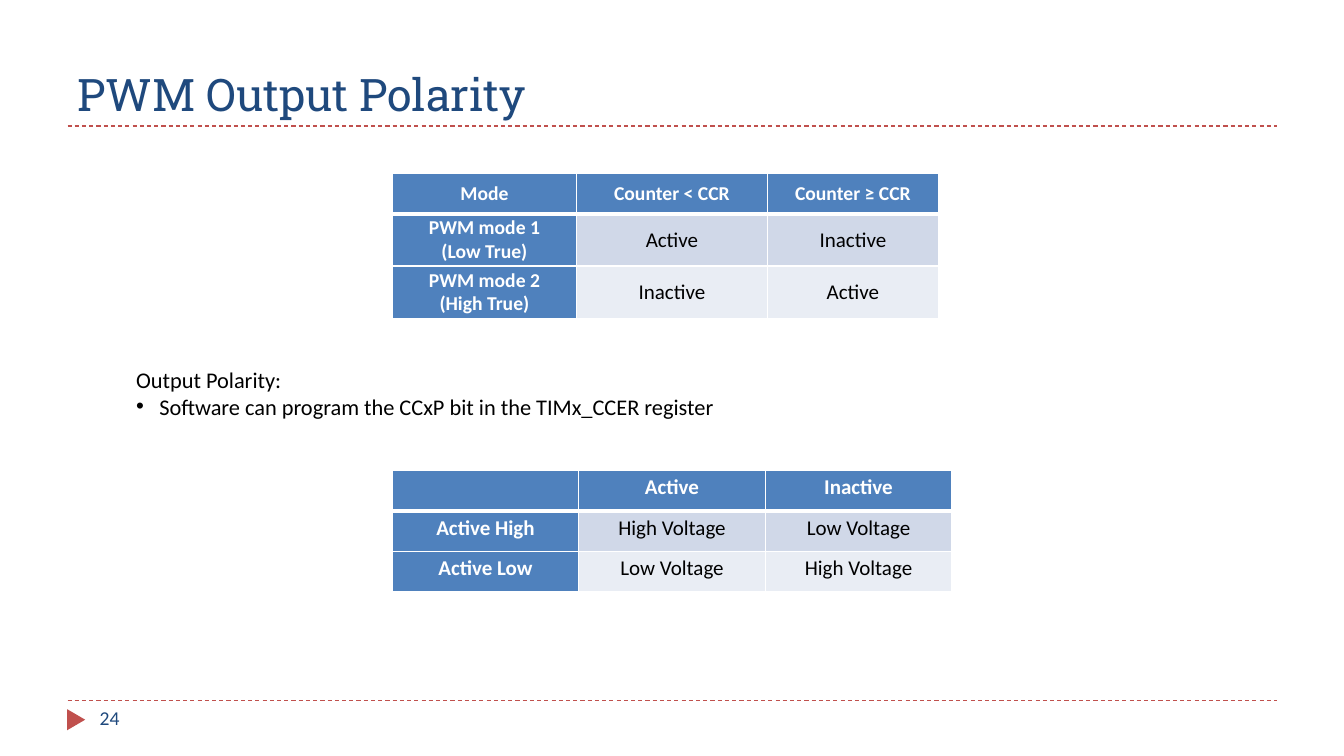
from lxml.etree import SubElement
from pptx import Presentation
from pptx.dml.color import RGBColor
from pptx.enum.dml import MSO_LINE
from pptx.enum.shapes import MSO_CONNECTOR, MSO_SHAPE
from pptx.enum.text import MSO_ANCHOR, MSO_AUTO_SIZE, PP_ALIGN
from pptx.oxml.ns import qn
from pptx.util import Inches, Pt

# Content
TITLE = "PWM Output Polarity"
PAGE_NUMBER = "24"
POLARITY_NOTE = [
    ("Output Polarity:", False),
    ("Software can program the CCxP bit in the TIMx_CCER register", True),
]
PWM_MODES = [
    ["Mode", "Counter < CCR", "Counter ≥ CCR"],
    ["PWM mode 1\n(Low True)", "Active", "Inactive"],
    ["PWM mode 2\n(High True)", "Inactive", "Active"],
]
POLARITY_LEVELS = [
    ["", "Active", "Inactive"],
    ["Active High", "High Voltage", "Low Voltage"],
    ["Active Low", "Low Voltage", "High Voltage"],
]
COLORS = {
    "navy": "1F497D", "red": "C0504D", "header": "4F81BD", "black": "000000",
    "white": "FFFFFF", "odd_band": "D0D8E8", "even_band": "E9EDF4",
}
LEFT, RIGHT = 0.67, 12.67
TABLE_LEFT = 3.89


def color(name):
    return RGBColor.from_string(COLORS[name])


def write(paragraph, text, size=16, ink="black", bold=False, font="Calibri",
          align=PP_ALIGN.LEFT, bullet=None):
    """Fill a paragraph; bullet True or False sets or clears its bullet."""
    if bullet is not None:
        properties = paragraph._p.get_or_add_pPr()
        indent = Inches(0.23) if bullet else 0
        properties.set("marL", str(indent))
        properties.set("indent", str(-indent))
        if bullet:
            SubElement(properties, qn("a:buFont"), typeface="Arial")
            SubElement(properties, qn("a:buChar"), char="•")
        else:
            SubElement(properties, qn("a:buNone"))
    paragraph.space_before = Pt(0)
    paragraph.alignment = align
    run = paragraph.add_run()
    run.text = text
    run.font.size = Pt(size)
    run.font.name = font
    run.font.bold = bold
    run.font.color.rgb = color(ink)


def place(shape, left, top, width, height):
    shape.left, shape.top = Inches(left), Inches(top)
    shape.width, shape.height = Inches(width), Inches(height)


def add_rule(slide, y):
    rule = slide.shapes.add_connector(
        MSO_CONNECTOR.STRAIGHT, Inches(LEFT), Inches(y), Inches(RIGHT), Inches(y))
    rule.line.color.rgb = color("red")
    rule.line.width = Pt(0.75)
    rule.line.dash_style = MSO_LINE.DASH
    SubElement(rule._element.spPr, qn("a:effectLst"))


def add_borders(cell, row):
    properties = cell._tc.get_or_add_tcPr()
    widths = {"L": 1, "R": 1, "T": 3 if row == 1 else 1, "B": 3 if row == 0 else 1}
    for side, width in widths.items():
        border = SubElement(properties, qn(f"a:ln{side}"), w=str(Pt(width)))
        fill = SubElement(border, qn("a:solidFill"))
        SubElement(fill, qn("a:srgbClr"), val=COLORS["white"])


def add_grid(slide, rows, top, widths, heights, heading_size, anchor, inset):
    table = slide.shapes.add_table(
        len(rows), len(widths), Inches(TABLE_LEFT), Inches(top),
        Inches(sum(widths)), Inches(sum(heights))).table
    table.first_col = True
    for column, width in zip(table.columns, widths):
        column.width = Inches(width)
    for r, (texts, height) in enumerate(zip(rows, heights)):
        table.rows[r].height = Inches(height)
        for c, text in enumerate(texts):
            cell = table.cell(r, c)
            heading = r == 0 or c == 0
            add_borders(cell, r)
            cell.fill.solid()
            cell.fill.fore_color.rgb = color(
                "header" if heading else "odd_band" if r % 2 else "even_band")
            cell.vertical_anchor = anchor
            cell.margin_left = cell.margin_right = Inches(inset[0])
            cell.margin_top = cell.margin_bottom = Inches(inset[1])
            frame = cell.text_frame
            for i, line in enumerate(text.split("\n") if text else []):
                paragraph = frame.add_paragraph() if i else frame.paragraphs[0]
                write(paragraph, line, size=heading_size if heading else 15,
                      ink="white" if heading else "black", bold=heading,
                      align=PP_ALIGN.CENTER)


def main():
    deck = Presentation()
    deck.slide_width, deck.slide_height = Inches(13.33), Inches(7.5)
    slide = deck.slides.add_slide(deck.slide_layouts[1])

    # Rules and page marker
    for y in (6.95, 1.25):
        add_rule(slide, y)
    marker = slide.shapes.add_shape(
        MSO_SHAPE.ISOSCELES_TRIANGLE, Inches(0.65), Inches(7.05), Inches(0.21), Inches(0.18))
    marker.rotation = 90
    marker.shadow.inherit = False
    marker.fill.solid()
    marker.fill.fore_color.rgb = color("red")
    marker.line.fill.background()

    # Title
    title = slide.shapes.title
    place(title, LEFT, 0.17, RIGHT - LEFT, 1.08)
    title.text_frame.vertical_anchor = MSO_ANCHOR.BOTTOM
    write(title.text_frame.paragraphs[0], TITLE, size=32, ink="navy", font="Roboto Slab")

    # Page number
    page = slide.shapes.add_textbox(Inches(0.89), Inches(6.95), Inches(2.89), Inches(0.4))
    page.text_frame.word_wrap = True
    write(page.text_frame.paragraphs[0], PAGE_NUMBER, size=14, ink="navy")

    # Tables
    add_grid(slide, PWM_MODES, 1.72, [1.83, 1.89, 1.7], [0.4, 0.52, 0.52],
             heading_size=14, anchor=MSO_ANCHOR.MIDDLE, inset=(0.06, 0))
    add_grid(slide, POLARITY_LEVELS, 4.67, [1.85] * 3, [0.4] * 3,
             heading_size=15, anchor=MSO_ANCHOR.TOP, inset=(0.07, 0.04))

    # Polarity note
    note = slide.placeholders[1]
    place(note, 1.25, 3.58, 6.33, 0.64)
    frame = note.text_frame
    frame.auto_size = MSO_AUTO_SIZE.SHAPE_TO_FIT_TEXT
    for i, (text, bullet) in enumerate(POLARITY_NOTE):
        paragraph = frame.add_paragraph() if i else frame.paragraphs[0]
        write(paragraph, text, bullet=bullet)

    deck.save("out.pptx")


if __name__ == "__main__":
    main()
